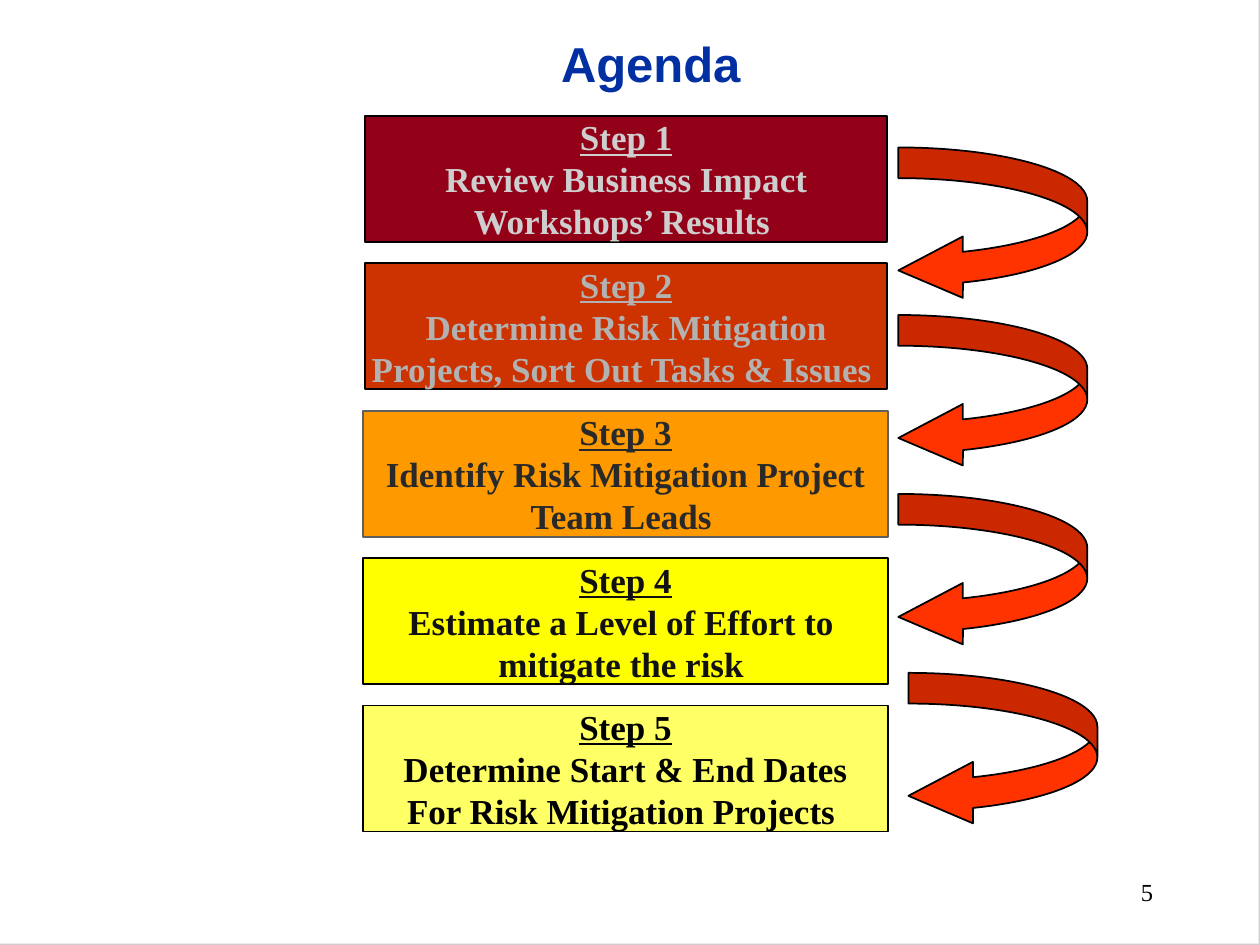
import pptx
import pptx.util
import pptx.dml.color
import pptx.enum.shapes
import pptx.enum.text
from pptx.util import Inches, Pt

COLORS = {
    "edge": "CECECE", "page": "FFFFFF", "title": "0230A2",
    "arrow": "FF3300", "black": "000000",
}
SERIF = "Times New Roman"
SHAPES = pptx.enum.shapes.MSO_SHAPE
ALIGN = pptx.enum.text.PP_ALIGN
MIDDLE = pptx.enum.text.MSO_ANCHOR.MIDDLE

# Lines of text, fill, text colour, outline, left, width
STEPS = [
    (["Step 1", "Review Business Impact", "Workshops’ Results "],
     "930119", "CECECE", "000000", 2.9, 4.14),
    (["Step 2", "Determine Risk Mitigation", "Projects, Sort Out Tasks & Issues "],
     "CC3300", "B2B2B2", "000000", 2.9, 4.14),
    (["Step 3", "Identify Risk Mitigation Project", "Team Leads "],
     "FF9900", "292929", "5F5F5F", 2.88, 4.17),
    (["Step 4", "Estimate a Level of Effort to ", "mitigate the risk "],
     "FFFF00", "111111", "000000", 2.88, 4.17),
    (["Step 5", "Determine Start & End Dates", "For Risk Mitigation Projects "],
     "FFFF66", "000000", "000000", 2.88, 4.17),
]
STEP_TOP, STEP_PITCH, STEP_HEIGHT = 0.92, 1.17, 1
ARROW_PLACES = [(7.13, 1.17), (7.13, 2.5), (7.13, 3.92), (7.21, 5.34)]


def rgb(color):
    return pptx.dml.color.RGBColor.from_string(color)


def add_run(paragraph, text, font, size, color, bold=False, underline=False):
    run = paragraph.add_run()
    run.text = text
    run.font.name = font
    run.font.size = Pt(size)
    run.font.bold = bold
    run.font.underline = underline
    run.font.color.rgb = rgb(color)


def add_filled(slide, kind, box, fill, outline=None):
    shape = slide.shapes.add_shape(kind, *map(Inches, box))
    shape.shadow.inherit = False
    shape.fill.solid()
    shape.fill.fore_color.rgb = rgb(fill)
    if outline:
        shape.line.color.rgb = rgb(outline)
        shape.line.width = Pt(1)
    else:
        shape.line.fill.background()
    return shape


def place_title(slide, box):
    title = slide.shapes.title
    title.left, title.top, title.width, title.height = map(Inches, box)
    title.text_frame.vertical_anchor = MIDDLE
    heading = title.text_frame.paragraphs[0]
    heading.alignment = ALIGN.CENTER
    heading.line_spacing = 0.9
    add_run(heading, "Agenda", "Arial", 28, COLORS["title"], bold=True)


def add_step(slide, box, lines, fill, color, outline):
    step = add_filled(slide, SHAPES.RECTANGLE, box, fill, outline)
    frame = step.text_frame
    frame.word_wrap = False
    frame.vertical_anchor = MIDDLE
    for index, line in enumerate(lines):
        paragraph = frame.add_paragraph() if index else frame.paragraphs[0]
        paragraph.alignment = ALIGN.CENTER
        add_run(paragraph, line, SERIF, 20, color, bold=True, underline=index == 0)


def add_return_arrow(slide, box):
    arrow = add_filled(slide, SHAPES.CURVED_LEFT_ARROW, box,
                       COLORS["arrow"], COLORS["black"])
    # Band thickness, head height and head length
    for index, share in enumerate((0.2, 0.4, 0.42)):
        arrow.adjustments[index] = share


def add_page_number(slide, box):
    number = slide.shapes.add_textbox(*map(Inches, box))
    number.text_frame.word_wrap = True
    number.text_frame.vertical_anchor = MIDDLE
    paragraph = number.text_frame.paragraphs[0]
    paragraph.alignment = ALIGN.RIGHT
    add_run(paragraph, "5", SERIF, 14, COLORS["black"])


def main():
    deck = pptx.Presentation()
    deck.slide_width, deck.slide_height = Inches(10), Inches(7.5)
    slide = deck.slides.add_slide(deck.slide_layouts[5])

    # White page with a thin grey edge at the right and bottom
    slide.background.fill.solid()
    slide.background.fill.fore_color.rgb = rgb(COLORS["edge"])
    page = add_filled(slide, SHAPES.RECTANGLE, (0, 0, 9.99, 7.49), COLORS["page"])
    slide.shapes.title.element.addprevious(page.element)

    place_title(slide, (1.58, 0.19, 7.17, 0.68))

    # Steps, evenly stacked
    for index, (lines, fill, color, outline, left, width) in enumerate(STEPS):
        box = (left, STEP_TOP + index * STEP_PITCH, width, STEP_HEIGHT)
        add_step(slide, box, lines, fill, color, outline)

    # Arrows from each step to the next
    for left, top in ARROW_PLACES:
        add_return_arrow(slide, (left, top, 1.5, 1.22))

    add_page_number(slide, (7.17, 6.83, 2.08, 0.5))
    deck.save("out.pptx")


if __name__ == "__main__":
    main()
